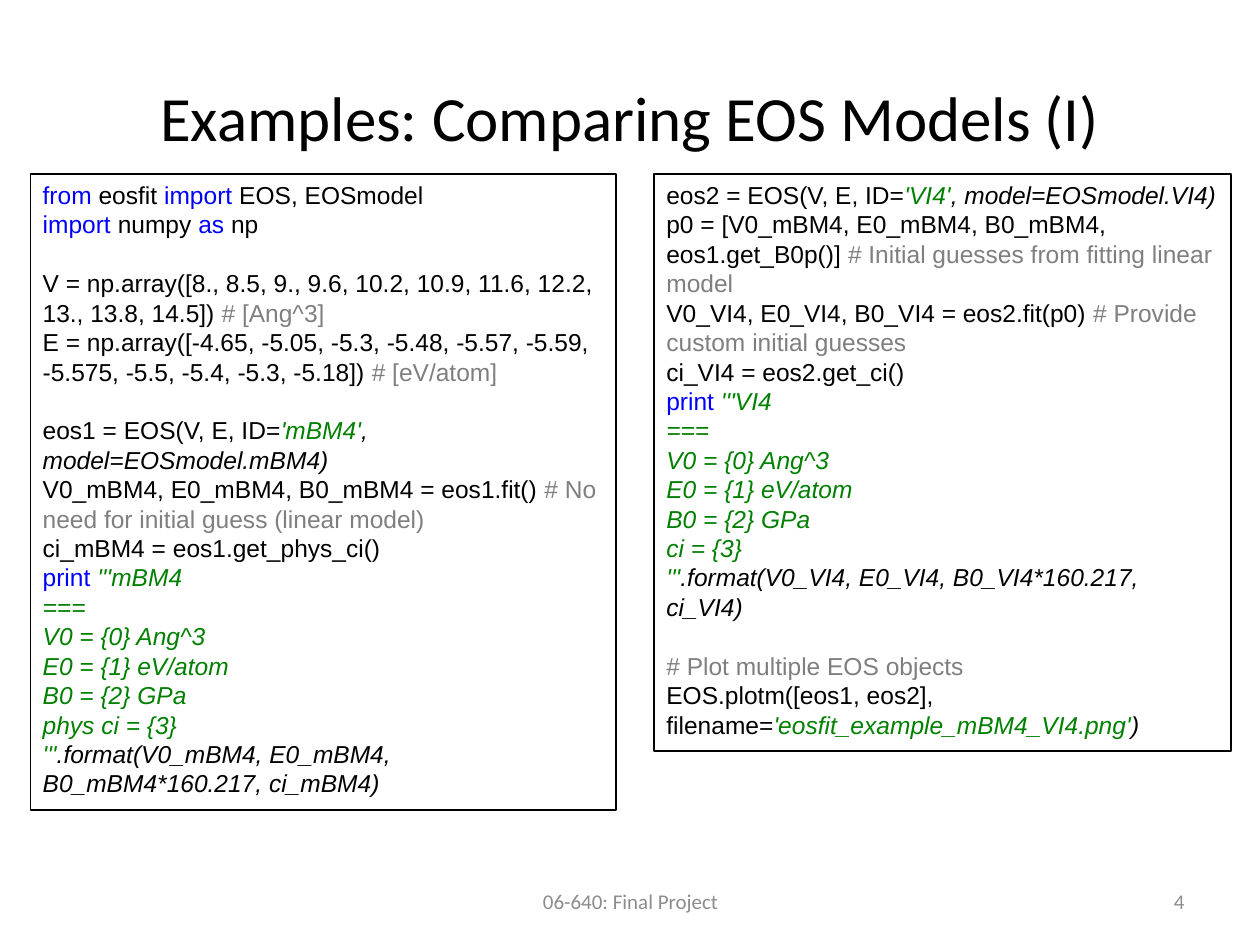
import pptx
import pptx.dml.color
import pptx.enum.text
import pptx.util

Inches, Pt = pptx.util.Inches, pptx.util.Pt
ALIGN = pptx.enum.text.PP_ALIGN
ANCHOR = pptx.enum.text.MSO_ANCHOR

COLORS = {"black": "000000", "blue": "0000FF", "green": "008000",
          "comment": "7F7F7F", "footer": "8C8C8C"}

# Token style: colour, italic
STYLES = {"code": ("black", False), "key": ("blue", False),
          "note": ("comment", False), "str": ("green", True),
          "arg": ("black", True)}

# Text, box, size, colour, alignment
LABELS = [
    ("Examples: Comparing EOS Models (I)", (0.5, 0.3, 9, 1.25), 36, "black", ALIGN.CENTER),
    ("06-640: Final Project", (3.42, 6.95, 3.17, 0.4), 12, "footer", ALIGN.CENTER),
    ("4", (7.17, 6.95, 2.33, 0.4), 12, "footer", ALIGN.RIGHT),
]

REPORT = [[("str", line)] for line in
          ("===", "V0 = {0} Ang^3", "E0 = {1} eV/atom", "B0 = {2} GPa")]

# Each listing is a list of blocks, each block a list of lines of tokens
LINEAR_FIT = [
    [
        [("key", "from "), ("code", "eosfit "), ("key", "import"), ("code", " EOS, EOSmodel")],
        [("key", "import "), ("code", "numpy "), ("key", "as "), ("code", "np")],
    ],
    [
        [("code", "V = np.array([8., 8.5, 9., 9.6, 10.2, 10.9, 11.6, 12.2, 13., 13.8, 14.5]) "),
         ("note", "# [Ang^3]")],
        [("code", "E = np.array([-4.65, -5.05, -5.3, -5.48, -5.57, -5.59, "
                  "-5.575, -5.5, -5.4, -5.3, -5.18]) "),
         ("note", "# [eV/atom]")],
    ],
    [
        [("code", "eos1 = EOS(V, E, ID="), ("str", "'mBM4'"), ("arg", ", model=EOSmodel.mBM4)")],
        [("code", "V0_mBM4, E0_mBM4, B0_mBM4 = eos1.fit() "),
         ("note", "# No need for initial guess (linear model)")],
        [("code", "ci_mBM4 = eos1.get_phys_ci()")],
        [("key", "print "), ("str", "'''mBM4")],
        *REPORT,
        [("str", "phys ci = {3}")],
        [("str", "'''"), ("arg", ".format(V0_mBM4, E0_mBM4, B0_mBM4*160.217, ci_mBM4)")],
    ],
]
CUSTOM_FIT = [
    [
        [("code", "eos2 = EOS(V, E, ID="), ("str", "'VI4'"), ("arg", ", model=EOSmodel.VI4)")],
        [("code", "p0 = [V0_mBM4, E0_mBM4, B0_mBM4, eos1.get_B0p()] "),
         ("note", "# Initial guesses from fitting linear model")],
        [("code", "V0_VI4, E0_VI4, B0_VI4 = eos2.fit(p0) "),
         ("note", "# Provide custom initial guesses")],
        [("code", "ci_VI4 = eos2.get_ci()")],
        [("key", "print "), ("str", "'''VI4")],
        *REPORT,
        [("str", "ci = {3}")],
        [("str", "'''"), ("arg", ".format(V0_VI4, E0_VI4, B0_VI4*160.217, ci_VI4)")],
    ],
    [
        [("note", "# Plot multiple EOS objects")],
        [("code", "EOS.plotm([eos1, eos2], filename="),
         ("str", "'eosfit_example_mBM4_VI4.png'"), ("arg", ")")],
    ],
]
LISTINGS = [(LINEAR_FIT, (0.24, 1.38, 4.65, 5.05)),
            (CUSTOM_FIT, (5.19, 1.38, 4.58, 4.58))]
LINE_PITCH = Pt(16.8)


def rgb(name):
    return pptx.dml.color.RGBColor.from_string(COLORS[name])


def add_box(s, box):
    sp = s.shapes.add_textbox(*map(Inches, box))
    sp.text_frame.word_wrap = True
    return sp


def add_label(s, text, box, size, color, align):
    tf = add_box(s, box).text_frame
    tf.vertical_anchor = ANCHOR.MIDDLE
    p = tf.paragraphs[0]
    p.text, p.alignment = text, align
    p.font.name, p.font.size = "Calibri", Pt(size)
    p.font.color.rgb = rgb(color)


def add_listing(s, blocks, box):
    """Framed code, with one line of space between blocks."""
    sp = add_box(s, box)
    sp.line.color.rgb = rgb("black")
    sp.line.width = Pt(0.75)
    tf = sp.text_frame
    p = tf.paragraphs[0]
    for b, block in enumerate(blocks):
        for i, tokens in enumerate(block):
            if b or i:
                p = tf.add_paragraph()
            p.line_spacing = LINE_PITCH
            p.space_before = LINE_PITCH if b and not i else Pt(0)
            p.font.name, p.font.size = "Arial", Pt(14)
            for style, text in tokens:
                color, italic = STYLES[style]
                r = p.add_run()
                r.text = text
                r.font.color.rgb = rgb(color)
                r.font.italic = italic


def main():
    prs = pptx.Presentation()
    prs.slide_width, prs.slide_height = Inches(10), Inches(7.5)
    s = prs.slides.add_slide(prs.slide_layouts[6])
    for label in LABELS:
        add_label(s, *label)
    for blocks, box in LISTINGS:
        add_listing(s, blocks, box)
    prs.save("out.pptx")


if __name__ == "__main__":
    main()
